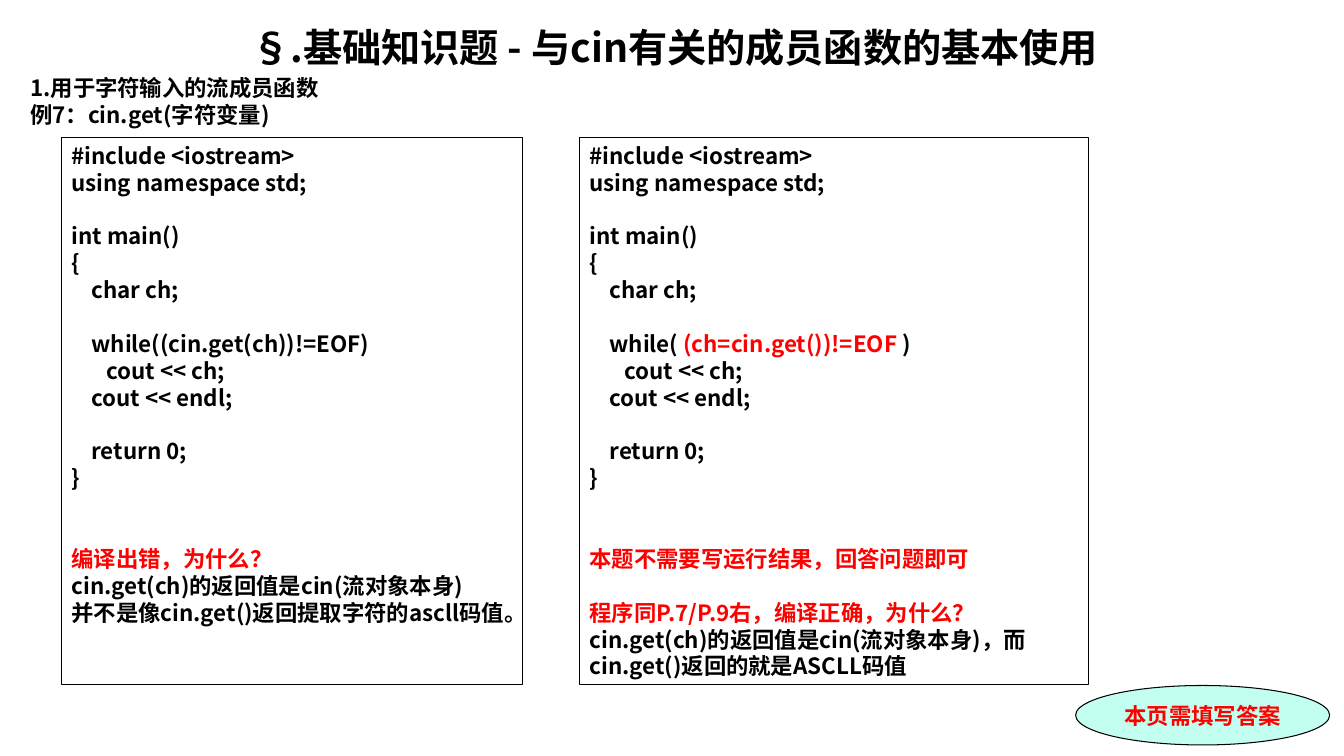
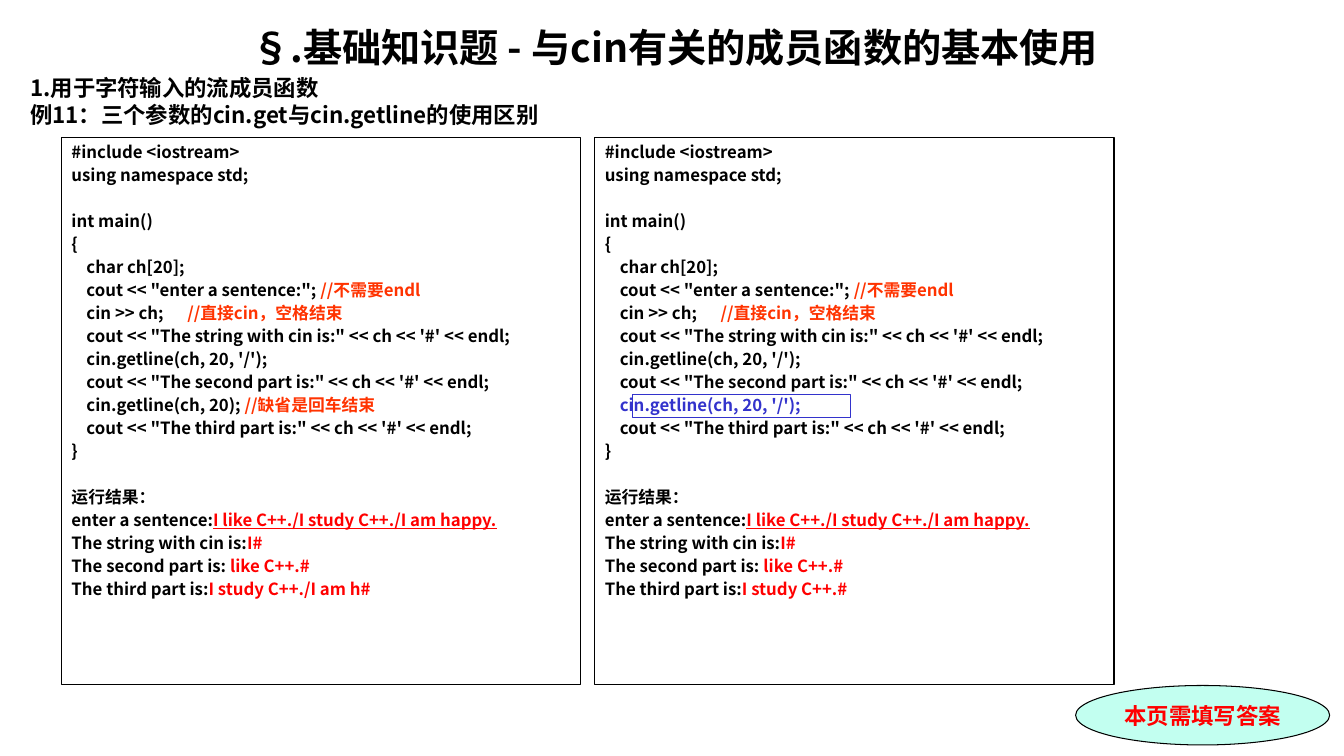
import pptx
import pptx.dml.color
import pptx.enum.shapes
import pptx.enum.text
import pptx.oxml.ns
import pptx.util
import lxml.etree

COLORS = {
    "ink": "000000",
    "answer": "FF0000",
    "typed": "FF0000",
    "comment": "FF3300",
    "changed": "3333CC",
    "mint": "C2FFF0",
}
FONT = "Noto Sans CJK SC"
BADGE_FONT = "Times New Roman"
ALIGN = pptx.enum.text.PP_ALIGN
ANCHOR = pptx.enum.text.MSO_ANCHOR
SHAPE = pptx.enum.shapes.MSO_SHAPE
PANEL_LEFT, PANEL_TOP, PANEL_HEIGHT = 4.58, 18.13, 72.4
TITLE = "§.基础知识题 - 与cin有关的成员函数的基本使用"
SECTION = "1.用于字符输入的流成员函数"
BADGE = "本页需填写答案"

CHAR_PROGRAM = """#include <iostream>
using namespace std;

int main()
{
    char ch;

    while(%s)
       cout << ch;
    cout << endl;

    return 0;
}


%s"""

CHAR_VARIANTS = [
    (34.28, "(cin.get(ch))!=EOF", """|answer:编译出错，为什么？|
cin.get(ch)的返回值是cin(流对象本身)
并不是像cin.get()返回提取字符的ascll码值。"""),
    (37.88, " |answer:(ch=cin.get())!=EOF |", """|answer:本题不需要写运行结果，回答问题即可|

|answer:程序同P.7/P.9右，编译正确，为什么？|
cin.get(ch)的返回值是cin(流对象本身)，而cin.get()返回的就是ASCLL码值"""),
]

LINE_PROGRAM = """#include <iostream>
using namespace std;

int main()
{
    char ch[20];
    cout << "enter a sentence:"; |comment://不需要endl|
    cin >> ch;\t|comment://直接cin，空格结束|
    cout << "The string with cin is:" << ch << '#' << endl;
    cin.getline(ch, 20, '/');
    cout << "The second part is:" << ch << '#' << endl;
    %s
    cout << "The third part is:" << ch << '#' << endl;
}

运行结果：
enter a sentence:|typed:I like C++./I study C++./I am happy.|
The string with cin is:|answer:I#|
The second part is:|answer: like C++.#|
The third part is:|answer:%s|"""

LINE_VARIANTS = [
    (38.63, "cin.getline(ch, 20); |comment://缺省是回车结束|", "I study C++./I am h#"),
    (38.63, "|changed:cin.getline(ch, 20, '/');|", "I study C++.#"),
]


def set_all(target, values):
    for name, value in values.items():
        setattr(target, name, value)


def rgb(name):
    return pptx.dml.color.RGBColor.from_string(COLORS[name])


class Lesson:
    line_height = 1.2
    space_width = 0.223
    comment_tab = 10

    def __init__(self):
        self.deck = pptx.Presentation()
        set_all(self.deck, {
            "slide_width": pptx.util.Inches(13.33),
            "slide_height": pptx.util.Inches(7.5),
        })
        self.slide = None

    def columns(self, count):
        return round(self.deck.slide_width * count / 100)

    def rows(self, count):
        return round(self.deck.slide_height * count / 100)

    def area(self, left, top, width, height):
        return self.columns(left), self.rows(top), self.columns(width), self.rows(height)

    def new_slide(self, example):
        self.slide = self.deck.slides.add_slide(self.deck.slide_layouts[0])
        title, heading = self.slide.placeholders
        self.heading(title, (1.5, 2.4, 97.4, 7), TITLE, 28, ALIGN.CENTER)
        self.heading(heading, (1.5, 9.2, 97.4, 8.5), f"{SECTION}\n{example}", 16, ALIGN.LEFT)

    def heading(self, holder, area, text, size, align):
        set_all(holder, dict(zip(("left", "top", "width", "height"), self.area(*area))))
        self.fill_text(holder, text, size, align=align)

    def fill_text(self, holder, text, size, gap=0, align=ALIGN.LEFT,
                  anchor=ANCHOR.TOP, color="ink", font=FONT):
        frame = holder.text_frame
        set_all(frame, {
            "word_wrap": True,
            "auto_size": pptx.enum.text.MSO_AUTO_SIZE.NONE,
            "vertical_anchor": anchor,
        })
        pitch = size * self.line_height
        blanks = 0
        paragraph = None
        for line in text.split("\n"):
            if not line:
                blanks += 1
                continue
            paragraph = frame.add_paragraph() if paragraph else frame.paragraphs[0]
            set_all(paragraph, {
                "alignment": align,
                "line_spacing": pptx.util.Pt(pitch),
                "space_before": pptx.util.Pt(gap + blanks * (pitch + gap)),
            })
            blanks = 0
            content = line.lstrip(" ")
            self.indent(paragraph, (len(line) - len(content)) * size * self.space_width)
            if "\t" in content:
                self.tab_stop(paragraph)
            for index, part in enumerate(content.split("|")):
                role, _, words = part.partition(":") if index % 2 else (color, "", part)
                if words:
                    self.run(paragraph, words, size, role, font)

    def indent(self, paragraph, points):
        properties = paragraph._p.get_or_add_pPr()
        properties.set("marL", str(int(pptx.util.Pt(points))))
        properties.set("indent", "0")

    def tab_stop(self, paragraph):
        stops = lxml.etree.SubElement(
            paragraph._p.get_or_add_pPr(), pptx.oxml.ns.qn("a:tabLst"))
        lxml.etree.SubElement(stops, pptx.oxml.ns.qn("a:tab"), {
            "pos": str(self.columns(self.comment_tab)), "algn": "l"})

    def run(self, paragraph, words, size, role, font):
        run = paragraph.add_run()
        run.text = words
        set_all(run.font, {
            "size": pptx.util.Pt(size),
            "bold": True,
            "name": font,
            "underline": role == "typed",
        })
        run.font.color.rgb = rgb(role)
        lxml.etree.SubElement(
            run._r.get_or_add_rPr(), pptx.oxml.ns.qn("a:ea"), {"typeface": FONT})

    def outline(self, kind, area, line="ink", fill=None):
        shape = self.slide.shapes.add_shape(kind, *self.area(*area))
        shape.shadow.inherit = False
        if fill:
            shape.fill.solid()
            shape.fill.fore_color.rgb = rgb(fill)
        else:
            shape.fill.background()
        shape.line.color.rgb = rgb(line)
        shape.line.width = pptx.util.Pt(0.75)
        return shape

    def code_panels(self, program, variants, size, between, gap=0):
        left = PANEL_LEFT
        for width, *details in variants:
            panel = self.outline(SHAPE.RECTANGLE, (left, PANEL_TOP, width, PANEL_HEIGHT))
            self.fill_text(panel, program % tuple(details), size, gap)
            left += width + between

    def badge(self):
        badge = self.outline(SHAPE.OVAL, (80.03, 90.67, 18.9, 7.87), fill="mint")
        self.fill_text(badge, BADGE, 16, align=ALIGN.CENTER, anchor=ANCHOR.MIDDLE,
                       color="answer", font=BADGE_FONT)


def main():
    lesson = Lesson()

    lesson.new_slide("例7：cin.get(字符变量)")
    lesson.code_panels(CHAR_PROGRAM, CHAR_VARIANTS, size=16, between=4.27)
    lesson.badge()

    lesson.new_slide("例11：三个参数的cin.get与cin.getline的使用区别")
    lesson.code_panels(LINE_PROGRAM, LINE_VARIANTS, size=12, between=1.05, gap=2)
    lesson.outline(SHAPE.RECTANGLE, (47.04, 52.13, 16.28, 3.07), line="changed")
    lesson.badge()

    lesson.deck.save("out.pptx")


if __name__ == "__main__":
    main()
